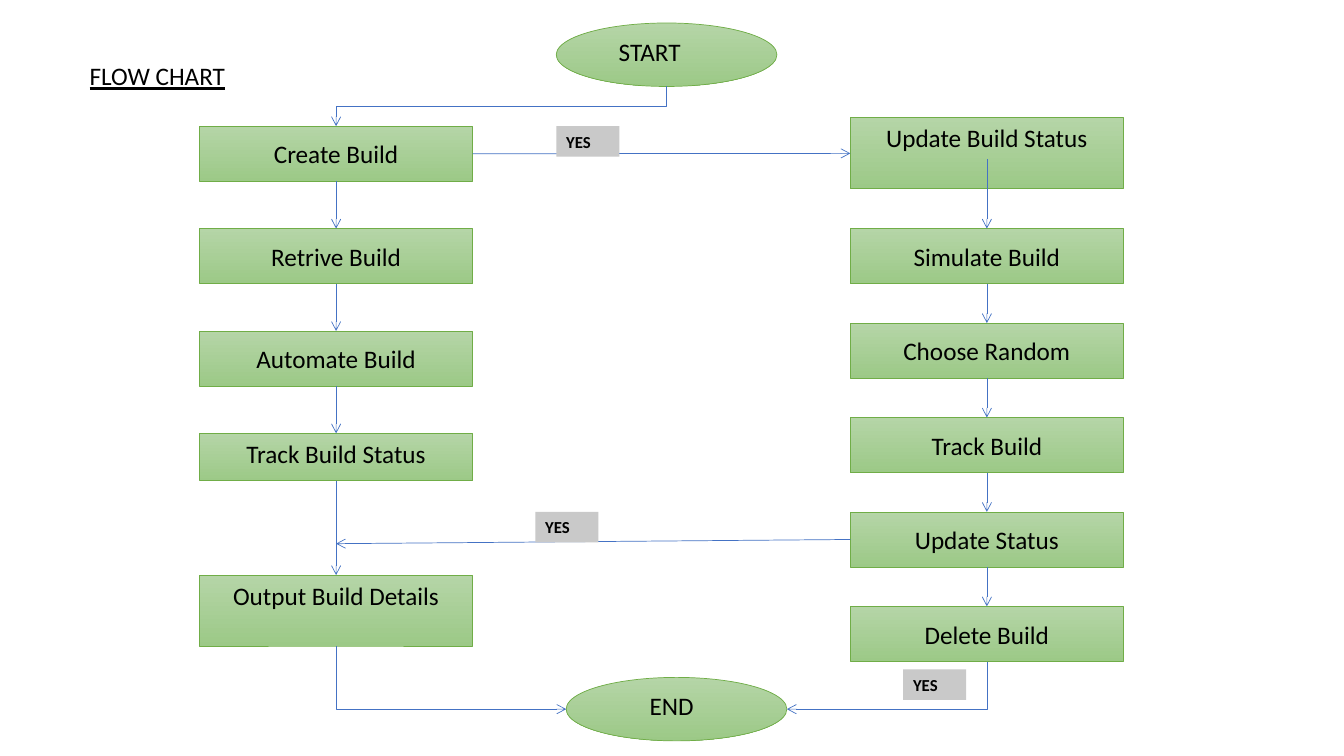
import lxml.etree
import pptx
import pptx.dml.color
import pptx.enum.shapes
import pptx.enum.text
import pptx.oxml.ns
import pptx.util

Cm = pptx.util.Cm
SHAPES = pptx.enum.shapes.MSO_SHAPE
LINES = pptx.enum.shapes.MSO_CONNECTOR
ANCHOR = pptx.enum.text.MSO_ANCHOR
ALIGN = pptx.enum.text.PP_ALIGN
qn = pptx.oxml.ns.qn

TOP, LEFT, BOTTOM, RIGHT = range(4)
LEFT_AXIS, RIGHT_AXIS = 8.47, 24.87
STEP_WIDTH, STEP_HEIGHT = 6.88, 1.39


def color(hex_code):
    return pptx.dml.color.RGBColor.from_string(hex_code)


def write(shape, wording, size=18, align=ALIGN.CENTER, anchor=ANCHOR.MIDDLE,
          bold=False, underline=False):
    frame = shape.text_frame
    frame.word_wrap = True
    frame.auto_size = pptx.enum.text.MSO_AUTO_SIZE.NONE
    frame.vertical_anchor = anchor
    paragraph = frame.paragraphs[0]
    paragraph.alignment = align
    run = paragraph.add_run()
    run.text = wording
    run.font.name = "Calibri"
    run.font.size = pptx.util.Pt(size)
    run.font.bold = bold
    run.font.underline = underline
    run.font.color.rgb = color("000000")


def add_title(slide, wording):
    title = slide.shapes.title
    title.left, title.top = Cm(0.79), Cm(1.4)
    title.width, title.height = Cm(6.35), Cm(1.02)
    write(title, wording, underline=True)


def add_node(slide, kind, x, y, width, height, wording, anchor=ANCHOR.MIDDLE):
    node = slide.shapes.add_shape(kind, Cm(x), Cm(y), Cm(width), Cm(height))
    node.shadow.inherit = False
    node.fill.gradient()
    node.fill.gradient_angle = 270
    for stop, shade in zip(node.fill.gradient_stops, ("B5D5A7", "9CC987")):
        stop.color.rgb = color(shade)
    node.line.color.rgb = color("70AD47")
    node.line.width = pptx.util.Pt(0.5)
    write(node, wording, anchor=anchor)
    return node


def add_step(slide, axis, y, wording, height=STEP_HEIGHT, anchor=ANCHOR.MIDDLE):
    return add_node(slide, SHAPES.RECTANGLE, axis - STEP_WIDTH / 2, y,
                    STEP_WIDTH, height, wording, anchor)


def add_terminal(slide, x, y, wording, right_inset):
    terminal = add_node(slide, SHAPES.OVAL, x, y, 5.56, 1.6, wording)
    terminal.text_frame.margin_right = Cm(right_inset)
    terminal.text_frame.margin_bottom = Cm(0.3)


def add_answer(slide, x, y):
    answer = slide.shapes.add_shape(SHAPES.RECTANGLE, Cm(x), Cm(y), Cm(1.59), Cm(0.77))
    answer.shadow.inherit = False
    answer.fill.solid()
    answer.fill.fore_color.rgb = color("C9C9C9")
    answer.line.fill.background()
    write(answer, "YES", size=12, align=ALIGN.LEFT, bold=True)


def style_arrow(arrow):
    arrow.line.color.rgb = color("4472C4")
    arrow.line.width = pptx.util.Pt(0.5)
    properties = arrow.element.spPr
    lxml.etree.SubElement(properties.find(qn("a:ln")), qn("a:tailEnd"), type="arrow")
    lxml.etree.SubElement(properties, qn("a:effectLst"))


def add_arrow(slide, start=(0, 0), end=(0, 0), source=None, target=None):
    arrow = slide.shapes.add_connector(LINES.STRAIGHT, *map(Cm, (*start, *end)))
    if source:
        arrow.begin_connect(*source)
    if target:
        arrow.end_connect(*target)
    style_arrow(arrow)


def add_elbow(slide, start, end, preset):
    middle_x, middle_y = (start[0] + end[0]) / 2, (start[1] + end[1]) / 2
    rightward = end[0] > start[0]
    half_width = (end[1] - start[1]) / 2 * (-1 if rightward else 1)
    half_height = abs(end[0] - start[0]) / 2
    elbow = slide.shapes.add_connector(
        LINES.ELBOW,
        Cm(middle_x - half_width), Cm(middle_y - half_height),
        Cm(middle_x + half_width), Cm(middle_y + half_height))
    properties = elbow.element.spPr
    degrees = 270 if rightward else 90
    properties.find(qn("a:xfrm")).set("rot", str(degrees * 60000))
    properties.find(qn("a:prstGeom")).set("prst", preset)
    style_arrow(elbow)


def main():
    presentation = pptx.Presentation()
    presentation.slide_width, presentation.slide_height = Cm(33.87), Cm(19.05)
    slide = presentation.slides.add_slide(presentation.slide_layouts[5])
    add_title(slide, "FLOW CHART")

    add_terminal(slide, 14.02, 0.58, "START", 1.1)
    add_terminal(slide, 14.27, 17.07, "END", 0.5)

    build_steps = [
        add_step(slide, LEFT_AXIS, 3.18 + 2.58 * row, wording)
        for row, wording in enumerate(("Create Build", "Retrive Build", "Automate Build"))
    ]
    build_steps.append(add_step(slide, LEFT_AXIS, 10.92, "Track Build Status",
                                1.19, ANCHOR.TOP))
    build_steps.append(add_step(slide, LEFT_AXIS, 14.49, "Output Build Details",
                                1.79, ANCHOR.TOP))

    update_build = add_step(slide, RIGHT_AXIS, 2.97, "Update Build Status",
                            1.79, ANCHOR.TOP)
    status_steps = [
        add_step(slide, RIGHT_AXIS, 5.76 + 2.38 * row, wording)
        for row, wording in enumerate(("Simulate Build", "Choose Random", "Track Build",
                                       "Update Status", "Delete Build"))
    ]

    for column in (build_steps, status_steps):
        for upper, lower in zip(column, column[1:]):
            add_arrow(slide, source=(upper, BOTTOM), target=(lower, TOP))
    add_arrow(slide, start=(RIGHT_AXIS, 4.01), target=(status_steps[0], TOP))
    add_arrow(slide, source=(build_steps[0], RIGHT), target=(update_build, LEFT))
    add_arrow(slide, end=(LEFT_AXIS, 13.7), source=(status_steps[3], LEFT))

    add_elbow(slide, (16.8, 2.18), (LEFT_AXIS, 3.18), "bentConnector3")
    add_elbow(slide, (LEFT_AXIS, 16.28), (14.27, 17.87), "bentConnector2")
    add_elbow(slide, (RIGHT_AXIS, 16.67), (19.83, 17.87), "bentConnector2")

    for x, y in ((22.76, 16.87), (14.02, 3.18), (13.49, 12.9)):
        add_answer(slide, x, y)

    presentation.save("out.pptx")


if __name__ == "__main__":
    main()
